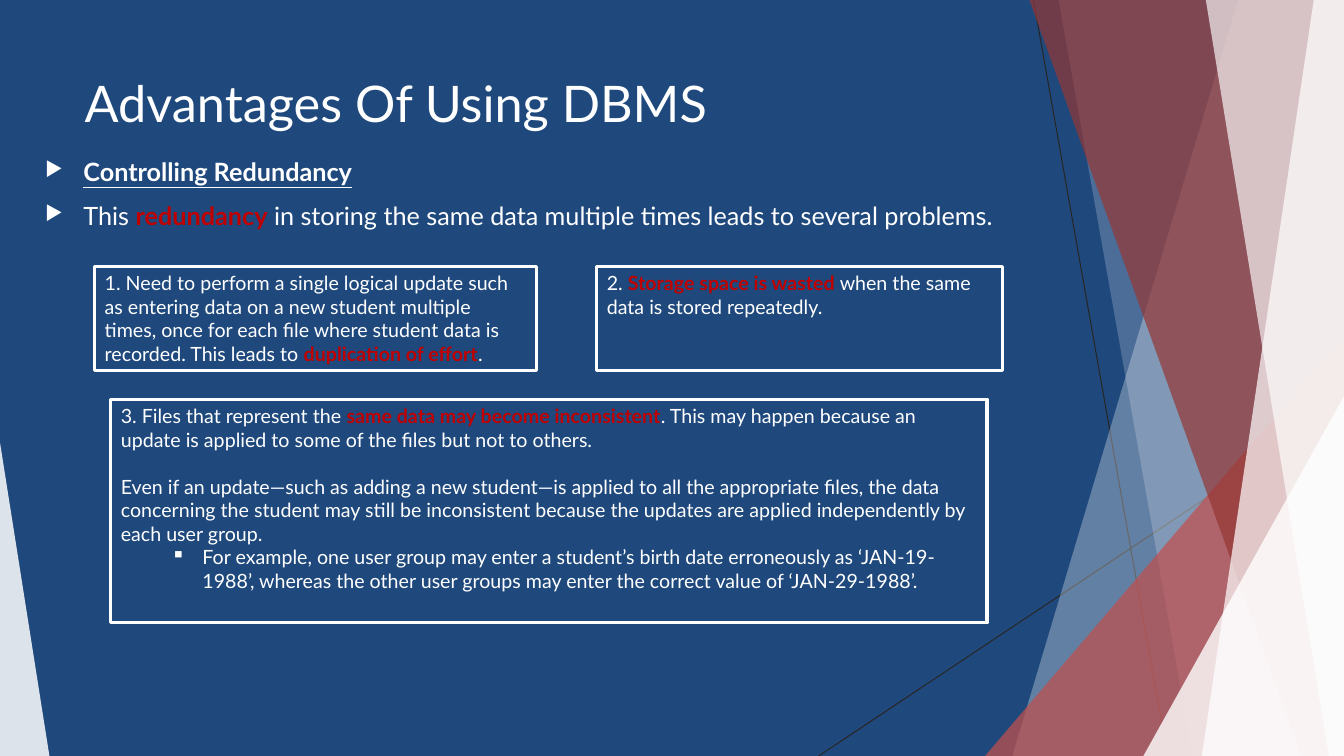
from lxml.etree import SubElement
from pptx import Presentation
from pptx.dml.color import RGBColor
from pptx.enum.shapes import MSO_CONNECTOR, MSO_SHAPE
from pptx.enum.text import MSO_ANCHOR, MSO_AUTO_SIZE, PP_ALIGN
from pptx.oxml.ns import qn
from pptx.util import Inches, Pt

NAVY = RGBColor(0x1F, 0x49, 0x7D)
WHITE = RGBColor(0xFF, 0xFF, 0xFF)
RED = RGBColor(0xC0, 0x00, 0x00)
ROSE = RGBColor(0xC0, 0x50, 0x4D)
WINE = RGBColor(0x95, 0x37, 0x35)
DARK = RGBColor(0x26, 0x26, 0x26)
FONT = "Lato"
WIDE, HIGH = 13.33, 7.5


class Deck:
    def __init__(self):
        self.prs = Presentation()
        self.prs.slide_width = Inches(WIDE)
        self.prs.slide_height = Inches(HIGH)
        self.slide = self.prs.slides.add_slide(self.prs.slide_layouts[5])
        self.shapes = self.slide.shapes
        back = self.slide.background.fill
        back.solid()
        back.fore_color.rgb = NAVY

    def line(self, *ends):
        link = self.shapes.add_connector(MSO_CONNECTOR.STRAIGHT, *map(Inches, ends))
        link.line.color.rgb = DARK
        link.line.width = Pt(0.75)
        SubElement(link._element.spPr, qn("a:effectLst"))

    def tint(self, shape, color, alpha):
        shape.shadow.inherit = False
        shape.fill.solid()
        shape.fill.fore_color.rgb = color
        shape.line.fill.background()
        tone = shape._element.spPr.find(qn("a:solidFill"))[0]
        SubElement(tone, qn("a:alpha")).set("val", str(alpha * 1000))

    def band(self, top, foot, color, alpha):
        points = [(top, 0), (WIDE, 0), (WIDE, HIGH), (foot, HIGH)]
        points = [(Inches(x), Inches(y)) for x, y in points]
        outline = self.shapes.build_freeform(*points[0], scale=1.0)
        outline.add_line_segments(points[1:], close=True)
        self.tint(outline.convert_to_shape(), color, alpha)

    def wedge(self, left, top, width, peak, color, alpha):
        place = map(Inches, (left, top, width, HIGH - top))
        shape = self.shapes.add_shape(MSO_SHAPE.ISOSCELES_TRIANGLE, *place)
        shape.adjustments[0] = peak
        self.tint(shape, color, alpha)

    def title(self, text, *place):
        head = self.shapes.title
        head.left, head.top, head.width, head.height = map(Inches, place)
        self.words(head.text_frame, [text], 36)

    def words(self, frame, texts, size):
        frame.word_wrap = True
        frame.auto_size = MSO_AUTO_SIZE.NONE
        frame.vertical_anchor = MSO_ANCHOR.TOP
        for i, text in enumerate(texts):
            para = frame.add_paragraph() if i else frame.paragraphs[0]
            para.alignment = PP_ALIGN.LEFT
            for j, part in enumerate(text.split("*")):
                if part:
                    run = para.add_run()
                    run.text = part
                    font = run.font
                    font.name, font.size = FONT, Pt(size)
                    font.bold = j % 2 == 1
                    font.color.rgb = RED if font.bold else WHITE
        return frame.paragraphs

    def bullet(self, para, char, left, hang, scale=100):
        props = para._p.get_or_add_pPr()
        props.set("marL", str(Inches(left)))
        props.set("indent", str(-Inches(hang)))
        tone = SubElement(props, qn("a:buClr"))
        SubElement(tone, qn("a:srgbClr")).set("val", str(WHITE))
        SubElement(props, qn("a:buSzPct")).set("val", str(scale * 1000))
        SubElement(props, qn("a:buChar")).set("char", char)

    def points(self, texts, *place):
        box = self.shapes.add_textbox(*map(Inches, place))
        paras = self.words(box.text_frame, texts, 18)
        for para in paras:
            self.bullet(para, "▶", 0.38, 0.38, 80)
        for para in paras[1:]:
            para.space_before = Pt(10)
        return paras

    def box(self, texts, *place):
        shape = self.shapes.add_shape(MSO_SHAPE.RECTANGLE, *map(Inches, place))
        shape.shadow.inherit = False
        shape.fill.background()
        shape.line.color.rgb = WHITE
        shape.line.width = Pt(2.25)
        return self.words(shape.text_frame, texts, 14)


def main():
    deck = Deck()
    deck.line(10.25, 0, 11.58, HIGH)
    deck.line(WIDE, 4.03, 8.12, HIGH)
    deck.band(12.28, 10.04, WHITE, 30)
    deck.band(10.5, 11.83, WHITE, 20)
    deck.wedge(9.77, 3.33, 3.56, 1, ROSE, 72)
    deck.band(10.21, 12.91, WINE, 70)
    deck.band(13.03, 11.92, WHITE, 70)
    deck.band(11.96, 13.18, WHITE, 65)
    deck.wedge(11.34, 3.93, 1.99, 1, WHITE, 80)
    deck.wedge(0, 4.39, 0.49, 0, WHITE, 85)

    deck.title("Advantages Of Using DBMS", 0.74, 0.67, 9.4, 1.44)
    lead = deck.points([
        "Controlling Redundancy",
        "This *redundancy* in storing the same data multiple times leads to several problems.",
    ], 0.35, 1.5, 10.26, 5.61)[0].runs[0].font
    lead.bold = lead.underline = True

    deck.box([
        "1. Need to perform a single logical update such as entering data on a new student "
        "multiple times, once for each file where student data is recorded. This leads to "
        "*duplication of effort*.",
    ], 0.94, 2.64, 4.38, 1.04)
    deck.box([
        "2. *Storage space is wasted *when the same data is stored repeatedly.",
    ], 5.92, 2.64, 4.02, 1.04)
    paras = deck.box([
        "3. Files that represent the *same data may become inconsistent*. This may happen "
        "because an update is applied to some of the files but not to others.",
        "Even if an update—such as adding a new student—is applied to all the appropriate "
        "files, the data concerning the student may still be inconsistent because the "
        "updates are applied independently by each user group.",
        "For example, one user group may enter a student’s birth date erroneously as "
        "‘JAN-19-1988’, whereas the other user groups may enter the correct value of "
        "‘JAN-29-1988’.",
    ], 1.1, 3.96, 8.69, 2.22)
    paras[1].space_before = Pt(16.8)
    paras[2].level = 1
    deck.bullet(paras[2], "▪", 0.81, 0.31)

    deck.prs.save("out.pptx")


if __name__ == "__main__":
    main()
